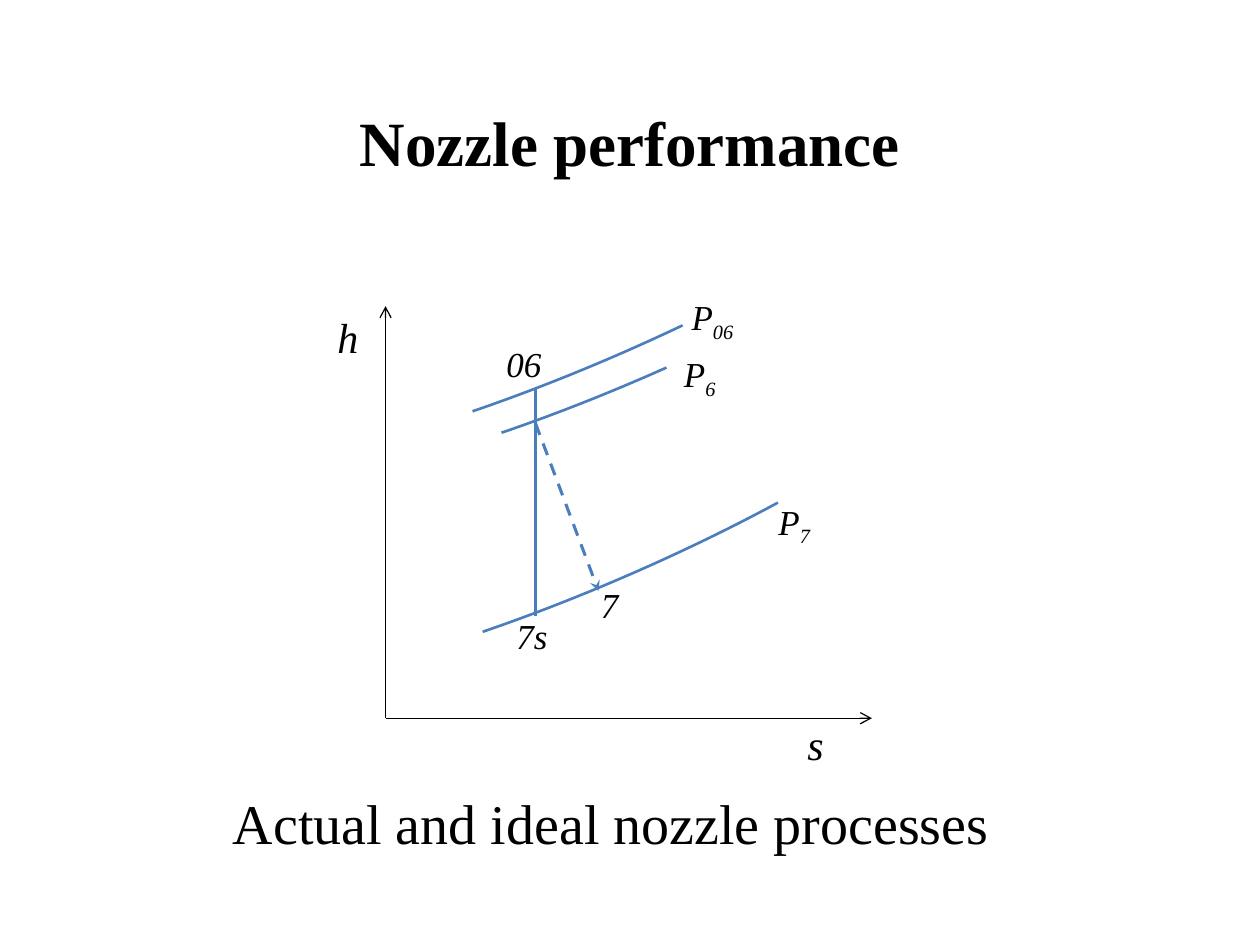
from dataclasses import dataclass

from lxml.etree import SubElement
from pptx import Presentation
from pptx.dml.color import RGBColor
from pptx.enum.dml import MSO_LINE_DASH_STYLE as DASH
from pptx.enum.shapes import MSO_CONNECTOR, MSO_SHAPE
from pptx.enum.text import MSO_ANCHOR, MSO_AUTO_SIZE, PP_ALIGN
from pptx.oxml.ns import qn
from pptx.slide import Slide
from pptx.util import Inches, Pt

BLACK = RGBColor(0x00, 0x00, 0x00)
BLUE = RGBColor(0x4B, 0x7E, 0xBC)


@dataclass
class Sketch:
    """Draws on one slide in grid units of a tenth of an inch."""

    s: Slide
    font: str = "Times New Roman"
    unit: int = Inches(0.1)

    def grid(self, *values):
        return [round(v * self.unit) for v in values]

    def text(self, box, content, size, sub="", wrap=False, bold=False,
             italic=False, align=None, anchor=MSO_ANCHOR.TOP, fit=True):
        tf = self.s.shapes.add_textbox(*self.grid(*box)).text_frame
        tf.word_wrap = wrap
        tf.auto_size = MSO_AUTO_SIZE.SHAPE_TO_FIT_TEXT if fit else MSO_AUTO_SIZE.NONE
        tf.vertical_anchor = anchor
        p = tf.paragraphs[0]
        p.alignment = align
        p.add_run().text = content
        if sub:
            r = p.add_run()
            r.text = sub
            r.font._element.set("baseline", "-25000")
        p.font.name, p.font.size = self.font, Pt(size)
        p.font.bold, p.font.italic = bold, italic
        p.font.color.rgb = BLACK

    def label(self, left, top, width, content, sub="", size=20, height=4.4):
        self.text((left, top, width, height), content, size, sub, italic=True)

    def line(self, start, end, color, width, head=None, dash=None):
        sp = self.s.shapes.add_connector(MSO_CONNECTOR.STRAIGHT, *self.grid(*start, *end))
        sp.line.color.rgb, sp.line.width = color, Pt(width)
        if dash:
            sp.line.dash_style = dash
        if head:
            SubElement(sp.line._get_or_add_ln(), qn("a:tailEnd"), type=head)
        SubElement(sp._element.spPr, qn("a:effectLst"))

    def isobar(self, left, top, start):
        sp = self.s.shapes.add_shape(MSO_SHAPE.ARC, *self.grid(left, top, 62.4, 11.7))
        sp.rotation = 156.5
        sp.adjustments[0], sp.adjustments[1] = start, 202.04
        sp.fill.background()
        sp.line.color.rgb, sp.line.width = BLUE, Pt(1.5)
        sp.shadow.inherit = False


def main():
    prs = Presentation()
    prs.slide_width, prs.slide_height = Inches(10), Inches(7.5)
    sketch = Sketch(prs.slides.add_slide(prs.slide_layouts[6]))

    sketch.text((5, 7.5, 90, 7.5), "Nozzle performance", 36, wrap=True, bold=True,
                align=PP_ALIGN.CENTER, anchor=MSO_ANCHOR.MIDDLE, fit=False)

    origin = (30.6, 57)
    for tip in ((69.2, 57), (30.6, 24.3)):
        sketch.line(origin, tip, BLACK, 0.75, "arrow")
    sketch.label(63.1, 56.5, 3.3, "s", size=24, height=5)
    sketch.label(25.8, 24.2, 3.7, "h", size=24, height=5)

    sketch.line((42.5, 48.9), (42.5, 30.8), BLUE, 1.75)
    sketch.line((42.5, 33.6), (47.5, 46.9), BLUE, 1.75, "stealth", DASH.DASH)
    for isobar in ((16.4, 34.4, 121.23), (17.9, 18.6, 152.86), (15.6, 16.9, 135.68)):
        sketch.isobar(*isobar)

    for label in (
        (39.2, 26.7, 4.8, "06"),
        (40, 48.3, 4.5, "7s"),
        (46.7, 45.8, 3.4, "7"),
        (53.9, 23, 5.6, "P", "06"),
        (53.3, 27.5, 4.7, "P", "6"),
        (60.8, 39.2, 4.7, "P", "7"),
    ):
        sketch.label(*label)

    sketch.text((17.5, 62.1, 71.6, 6.4), "Actual and ideal nozzle processes", 32, wrap=True)
    prs.save("out.pptx")


if __name__ == "__main__":
    main()
